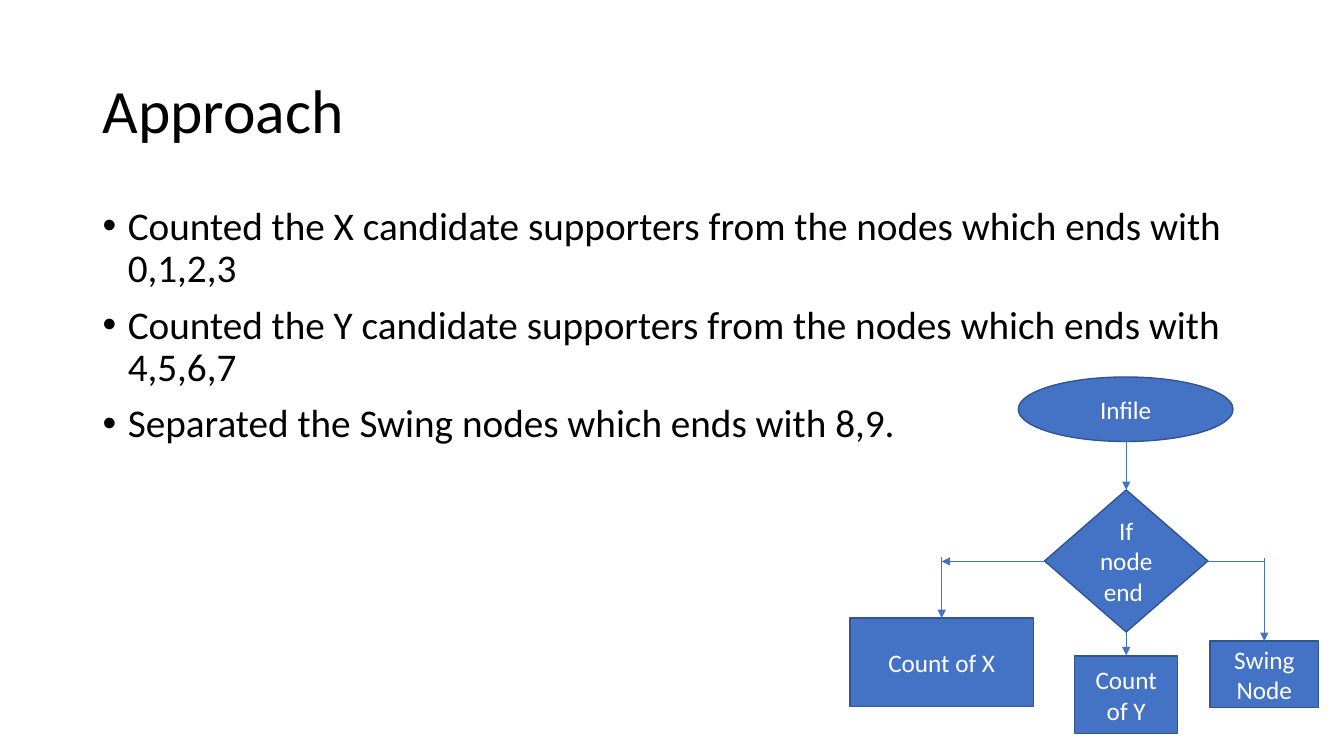
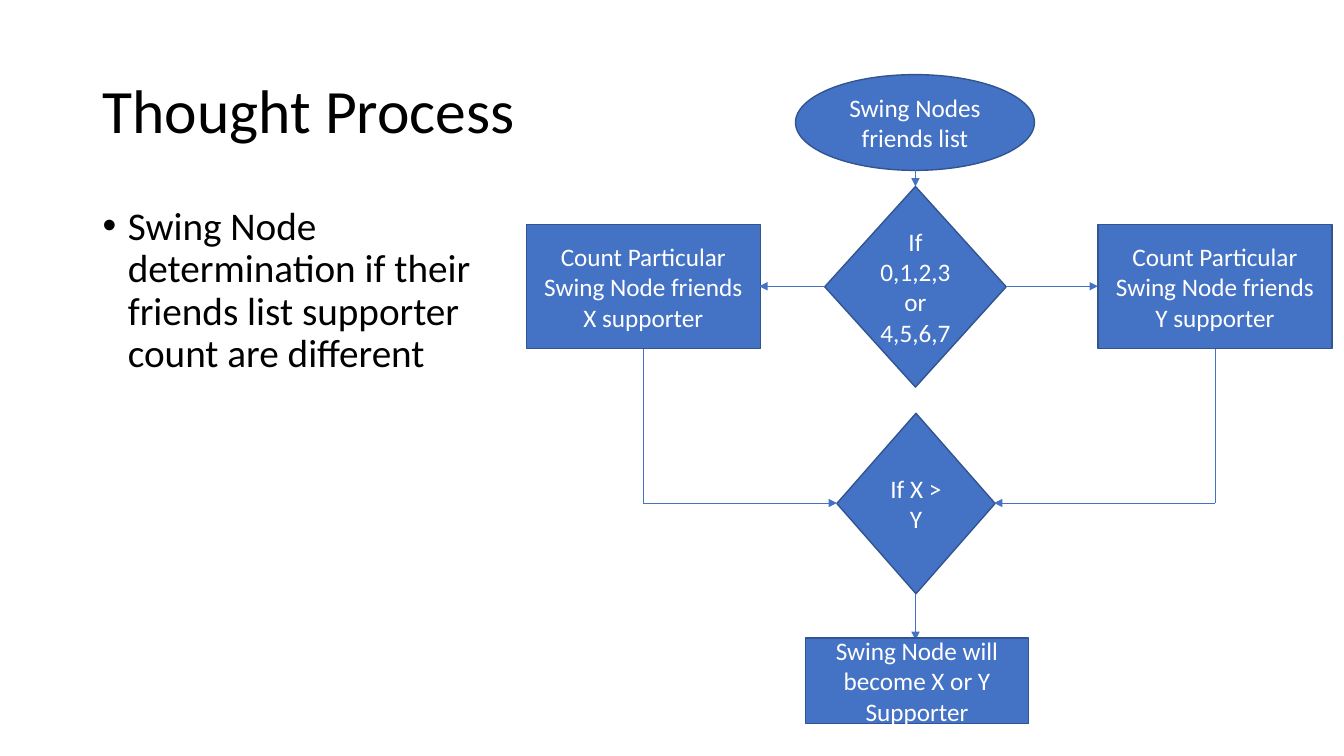
import itertools

import pptx
import pptx.dml.color
import pptx.enum.shapes
import pptx.enum.text
import pptx.oxml
import pptx.oxml.ns
import pptx.util
from pptx.util import Inches

BLACK = pptx.dml.color.RGBColor(0x00, 0x00, 0x00)
WHITE = pptx.dml.color.RGBColor(0xFF, 0xFF, 0xFF)
BLUE = pptx.dml.color.RGBColor(0x44, 0x72, 0xC4)
OUTLINE = pptx.dml.color.RGBColor(0x32, 0x54, 0x91)

SHAPE = pptx.enum.shapes.MSO_SHAPE
ANCHOR = pptx.enum.text.MSO_ANCHOR
ALIGN = pptx.enum.text.PP_ALIGN


def apply_format(target, values):
    """Set each attribute named in values on target."""
    for name, value in values.items():
        setattr(target, name, value)


def xml_element(tag, **attributes):
    """Make a DrawingML element with the given attributes."""
    element = pptx.oxml.parse_xml(f"<a:{tag} {pptx.oxml.ns.nsdecls('a')}/>")
    for name, value in attributes.items():
        element.set(name, value)
    return element


class Deck:
    """Hold the shared style and the current slide."""

    font = "Calibri"
    title_format = {"line_spacing": 0.9}
    bullet_format = {"line_spacing": 0.9, "space_before": pptx.util.Pt(10)}
    step_format = {"alignment": ALIGN.CENTER}

    def __init__(self):
        """Start a widescreen presentation."""
        self.presentation = pptx.Presentation()
        apply_format(self.presentation, {"slide_width": Inches(13.33),
                                         "slide_height": Inches(7.5)})
        self.slide = None

    def fill_text(self, frame, lines, size, color, paragraph_format, anchor):
        """Fill a text frame with one paragraph per line."""
        apply_format(frame, {"word_wrap": True, "vertical_anchor": anchor})
        for index, line in enumerate(lines):
            paragraph = frame.add_paragraph() if index else frame.paragraphs[0]
            apply_format(paragraph, paragraph_format)
            run = paragraph.add_run()
            run.text = line
            apply_format(run.font, {"name": self.font, "size": pptx.util.Pt(size)})
            run.font.color.rgb = color

    def add_slide(self, title):
        """Add a blank slide with its title."""
        self.slide = self.presentation.slides.add_slide(
            self.presentation.slide_layouts[6])
        heading = self.slide.shapes.add_textbox(
            Inches(0.92), Inches(0.4), Inches(11.5), Inches(1.45))
        self.fill_text(heading.text_frame, [title], 44, BLACK,
                       self.title_format, ANCHOR.MIDDLE)

    def bullets(self, lines, width):
        """Add the bulleted body text."""
        body = self.slide.shapes.add_textbox(
            Inches(0.92), Inches(2), Inches(width), Inches(4.76))
        self.fill_text(body.text_frame, lines, 28, BLACK,
                       self.bullet_format, ANCHOR.TOP)
        for paragraph in body.text_frame.paragraphs:
            properties = paragraph._p.get_or_add_pPr()
            properties.set("marL", str(Inches(0.25)))
            properties.set("indent", str(Inches(-0.25)))
            properties.append(xml_element("buFont", typeface="Arial"))
            properties.append(xml_element("buChar", char="\u2022"))

    def step(self, kind, text, left, top, width, height):
        """Add one flowchart step."""
        step = self.slide.shapes.add_shape(
            kind, Inches(left), Inches(top), Inches(width), Inches(height))
        step.shadow.inherit = False
        step.fill.solid()
        step.fill.fore_color.rgb = BLUE
        step.line.color.rgb = OUTLINE
        step.line.width = pptx.util.Pt(1)
        self.fill_text(step.text_frame, [text], 18, WHITE,
                       self.step_format, ANCHOR.MIDDLE)

    def flow(self, *points, arrow=True):
        """Join points with straight lines, the last one ending in an arrowhead."""
        for start, end in itertools.pairwise(points):
            segment = self.slide.shapes.add_connector(
                pptx.enum.shapes.MSO_CONNECTOR.STRAIGHT,
                *(Inches(value) for value in start + end))
            segment.line.color.rgb = BLUE
            segment.line.width = pptx.util.Pt(0.5)
            segment._element.spPr.append(xml_element("effectLst"))
        if arrow:
            segment._element.spPr.get_or_add_ln().append(
                xml_element("tailEnd", type="triangle"))


def build_approach(deck):
    """Build the slide on sorting nodes by their last digit."""
    deck.add_slide("Approach")
    deck.bullets([
        "Counted the X candidate supporters from the nodes which ends with 0,1,2,3",
        "Counted the Y candidate supporters from the nodes which ends with 4,5,6,7",
        "Separated the Swing nodes which ends with 8,9.",
    ], 11.5)

    middle, x_branch, swing_branch, branch_level = 11.17, 9.34, 12.54, 5.57
    deck.step(SHAPE.OVAL, "Infile", 10.1, 3.74, 2.13, 0.64)
    deck.step(SHAPE.RECTANGLE, "Count of X", 8.43, 6.13, 1.82, 0.88)
    deck.step(SHAPE.DIAMOND, "If node end ", 10.36, 4.86, 1.62, 1.41)
    deck.step(SHAPE.RECTANGLE, "Count of Y", 10.66, 6.51, 1.02, 0.77)
    deck.step(SHAPE.RECTANGLE, "Swing Node", 12, 6.36, 1.08, 0.66)

    deck.flow((middle, 4.38), (middle, 4.86))
    deck.flow((10.36, branch_level), (x_branch, branch_level))
    deck.flow((x_branch, 5.53), (x_branch, 6.13))
    deck.flow((middle, 6.27), (middle, 6.5))
    deck.flow((11.98, branch_level), (swing_branch, branch_level), arrow=False)
    deck.flow((swing_branch, 5.54), (swing_branch, 6.36))


def build_thought_process(deck):
    """Build the slide on deciding which side a swing node joins."""
    deck.add_slide("Thought Process")
    deck.bullets(["Swing Node determination if their friends list supporter "
                  "count are different"], 4.3)

    middle, count_level, compare_level = 9.08, 2.84, 4.99
    deck.step(SHAPE.OVAL, "Swing Nodes friends list", 7.89, 0.74, 2.37, 0.95)
    deck.step(SHAPE.DIAMOND, "If 0,1,2,3 or 4,5,6,7", 8.18, 1.85, 1.8, 1.99)
    deck.step(SHAPE.DIAMOND, "If X > Y", 8.3, 4.1, 1.57, 1.79)

    branches = [("X", 5.22, 8.18, 7.53, 8.3), ("Y", 10.89, 9.98, 10.89, 9.86)]
    for candidate, left, decision_edge, count_edge, compare_edge in branches:
        deck.step(SHAPE.RECTANGLE,
                  f"Count Particular Swing Node friends {candidate} supporter",
                  left, 2.23, 2.32, 1.23)
        deck.flow((decision_edge, count_level), (count_edge, count_level))
        center = left + 1.16
        deck.flow((center, 3.46), (center, compare_level),
                  (compare_edge, compare_level))

    deck.flow((middle, 1.68), (middle, 1.85))
    deck.flow((middle, 5.89), (middle, 6.35))
    deck.step(SHAPE.RECTANGLE, "Swing Node will become X or Y Supporter",
              7.99, 6.33, 2.21, 0.85)


deck = Deck()
build_approach(deck)
build_thought_process(deck)
deck.presentation.save("out.pptx")
